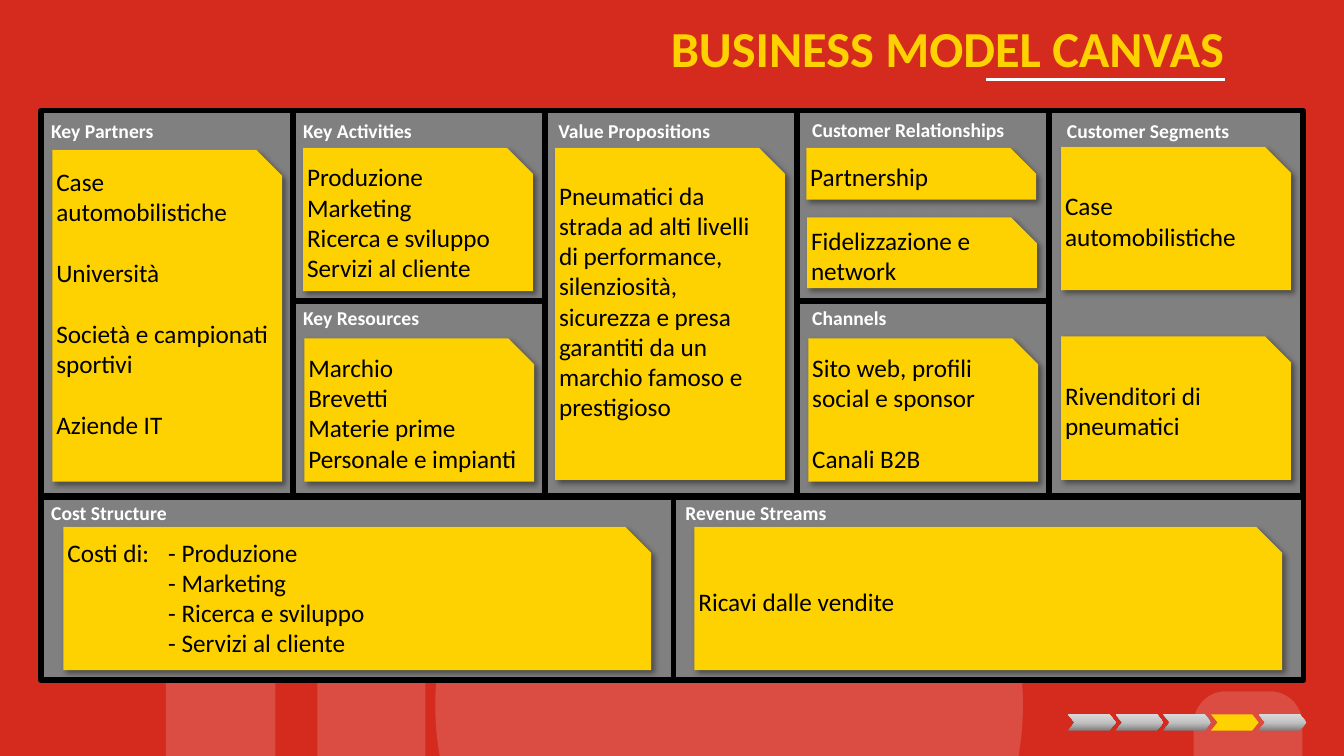
import copy
from dataclasses import dataclass

import lxml.etree
import pptx
import pptx.dml.color
import pptx.enum.shapes
import pptx.enum.text
import pptx.oxml.ns
import pptx.util

Cm = pptx.util.Cm
Pt = pptx.util.Pt
qn = pptx.oxml.ns.qn
SHAPE = pptx.enum.shapes.MSO_SHAPE
ALIGN = pptx.enum.text.PP_ALIGN
MIDDLE = pptx.enum.text.MSO_ANCHOR.MIDDLE


@dataclass(frozen=True)
class Theme:
    font: str = "Calibri"
    red: str = "D52B1E"
    yellow: str = "FED100"
    grey: str = "808080"
    white: str = "FFFFFF"
    black: str = "000000"
    silver: tuple = ((0, "808080"), (0.48, "C1C1C1"), (1, "D9D9D9"))
    title: int = 36
    heading: int = 14
    body: int = 18


@dataclass(frozen=True)
class Note:
    box: tuple
    lines: tuple
    gap: int = 0
    bottom: float = 0.2
    hanging: float = 0


THEME = Theme()
BLANK_LINE = 22
NOTE_W, NOTE_H, TALL_H = 5.79, 3.61, 8.36
WIDE_W = 14.81
LEFT, TOP, MIDDLE_TOP, BASE_TOP = 1.04, 2.79, 7.59, 12.52
COLUMN = 6.35
FULL, UPPER, LOWER, BASE = 9.7, 4.8, 4.91, 4.62
REVENUE_LEFT = 16.97


def column(index):
    return LEFT + COLUMN * index


BLOCKS = (
    ("Key Partners", (column(0), TOP, COLUMN, FULL), (0, 0.08), (
        Note((0.28, 0.99, NOTE_W, TALL_H),
             ("Case automobilistiche", "Università", "Società e campionati sportivi", "Aziende IT"),
             gap=BLANK_LINE, bottom=0.98),)),
    ("Key Activities", (column(1), TOP, COLUMN, UPPER), (0, 0.08), (
        Note((0.25, 0.94, NOTE_W, NOTE_H),
             ("Produzione", "Marketing", "Ricerca e sviluppo", "Servizi al cliente")),)),
    ("Key Resources", (column(1), MIDDLE_TOP, COLUMN, LOWER), (0, 0), (
        Note((0.28, 0.94, NOTE_W, NOTE_H),
             ("Marchio", "Brevetti", "Materie prime", "Personale e impianti")),)),
    ("Value Propositions", (column(2), TOP, COLUMN, FULL), (0.08, 0.08), (
        Note((0.25, 0.94, NOTE_W, TALL_H),
             ("Pneumatici da strada ad alti livelli di performance, silenziosità, "
              "sicurezza e presa garantiti da un marchio famoso e prestigioso",),
             bottom=0.98),)),
    ("Customer Relationships", (column(3), TOP, COLUMN, UPPER), (0.13, 0.05), (
        Note((0.23, 0.94, NOTE_W, 1.3), ("Partnership",)),
        Note((0.25, 2.69, NOTE_W, 1.78), ("Fidelizzazione e network",)))),
    ("Channels", (column(3), MIDDLE_TOP, COLUMN, LOWER), (0.13, 0), (
        Note((0.28, 0.94, NOTE_W, NOTE_H),
             ("Sito web, profili social e sponsor", "Canali B2B"), gap=BLANK_LINE),)),
    ("Customer Segments", (column(4), TOP, 6.4, FULL), (0.2, 0.08), (
        Note((0.3, 0.91, NOTE_W, NOTE_H), ("Case automobilistiche",)),
        Note((0.3, 5.69, NOTE_W, NOTE_H), ("Rivenditori di pneumatici",)))),
    ("Cost Structure", (LEFT, BASE_TOP, 15.93, BASE), (0, -0.03), (
        Note((0.56, 0.76, WIDE_W, NOTE_H),
             ("Costi di:\t- Produzione", "- Marketing", "- Ricerca e sviluppo",
              "- Servizi al cliente"), bottom=0.38, hanging=2.54),)),
    ("Revenue Streams", (REVENUE_LEFT, BASE_TOP, 15.88, BASE), (0.05, -0.03), (
        Note((0.53, 0.76, WIDE_W, NOTE_H), ("Ricavi dalle vendite",)),)),
)


def rgb(value):
    return pptx.dml.color.RGBColor.from_string(value)


def style(paragraph, size, color, bold=False):
    font = paragraph.font
    font.name, font.size, font.bold = THEME.font, Pt(size), bold
    font.color.rgb = rgb(color)


def set_insets(frame, left, top, right, bottom):
    frame.margin_left, frame.margin_top = Cm(left), Cm(top)
    frame.margin_right, frame.margin_bottom = Cm(right), Cm(bottom)


def add_filled(slide, kind, box, color):
    shape = slide.shapes.add_shape(kind, *map(Cm, box))
    shape.shadow.inherit = False
    shape.fill.solid()
    shape.fill.fore_color.rgb = rgb(color)
    shape.line.fill.background()
    return shape


def add_backdrop(slide):
    slide.background.fill.solid()
    slide.background.fill.fore_color.rgb = rgb(THEME.red)
    for kind, box in (
        (SHAPE.RECTANGLE, (4.18, 16.8, 2.76, 2.25)),
        (SHAPE.RECTANGLE, (8, 16.8, 2.72, 2.25)),
        (SHAPE.OVAL, (10.97, 10.36, 14.81, 14.81)),
        (SHAPE.ROUND_2_SAME_RECTANGLE, (30.08, 17.42, 2.74, 1.63)),
    ):
        curve = add_filled(slide, kind, box, THEME.white)
        if kind == SHAPE.ROUND_2_SAME_RECTANGLE:
            curve.adjustments[0] = 0.5
        tint = curve._element.spPr.find(".//" + qn("a:srgbClr"))
        lxml.etree.SubElement(tint, qn("a:alpha"), val="16000")


def add_title(slide, box):
    left, top, width, height = box
    title = slide.shapes.title
    title.left, title.top, title.width, title.height = map(Cm, box)
    frame = title.text_frame
    frame.text = "BUSINESS MODEL CANVAS"
    frame.auto_size = pptx.enum.text.MSO_AUTO_SIZE.NONE
    frame.vertical_anchor = MIDDLE
    set_insets(frame, 3, 0.13, 3, 0.13)
    heading = frame.paragraphs[0]
    heading.alignment = ALIGN.RIGHT
    heading.line_spacing = 0.9
    style(heading, THEME.title, THEME.yellow, True)
    rule_end, rule_y = left + width - 3, top + 2
    rule = slide.shapes.add_connector(
        pptx.enum.shapes.MSO_CONNECTOR.STRAIGHT,
        Cm(rule_end - 6), Cm(rule_y), Cm(rule_end), Cm(rule_y))
    rule.line.color.rgb = rgb(THEME.white)
    rule.line.width = Pt(2)
    lxml.etree.SubElement(rule._element.spPr, qn("a:effectLst"))


def add_note(slide, block_box, note):
    dx, dy, width, height = note.box
    box = (block_box[0] + dx, block_box[1] + dy, width, height)
    card = add_filled(slide, SHAPE.SNIP_1_RECTANGLE, box, THEME.yellow)
    card.adjustments[0] = min(0.5, 0.65 / min(width, height))
    effects = card._element.spPr.find(qn("a:effectLst"))
    shadow = lxml.etree.SubElement(
        effects, qn("a:outerShdw"), blurRad=str(Pt(4)), dist=str(Pt(3)),
        dir="2700000", algn="tl", rotWithShape="0")
    shade = lxml.etree.SubElement(shadow, qn("a:srgbClr"), val=THEME.black)
    lxml.etree.SubElement(shade, qn("a:alpha"), val="40000")
    frame = card.text_frame
    frame.text = "\n".join(note.lines)
    frame.word_wrap = True
    frame.vertical_anchor = MIDDLE
    set_insets(frame, 0.1, 0, 0, note.bottom)
    for index, line in enumerate(frame.paragraphs):
        line.alignment = ALIGN.LEFT
        if index and note.gap:
            line.space_before = Pt(note.gap)
        if note.hanging:
            properties = line._p.get_or_add_pPr()
            properties.set("marL", str(Cm(note.hanging)))
            properties.set("indent", "0" if index else str(-Cm(note.hanging)))
        style(line, THEME.body, THEME.black)


def add_block(slide, box, heading, offset, notes):
    panel = add_filled(slide, SHAPE.RECTANGLE, box, THEME.grey)
    panel.line.color.rgb = rgb(THEME.black)
    panel.line.width = Pt(4)
    label = slide.shapes.add_textbox(
        Cm(box[0] + offset[0]), Cm(box[1] + offset[1]), Cm(5.92), Cm(0.86))
    label.text_frame.text = heading
    label.text_frame.word_wrap = True
    style(label.text_frame.paragraphs[0], THEME.heading, THEME.white, True)
    for note in notes:
        add_note(slide, box, note)


def add_progress(slide, box, steps, current):
    left, top, width, height = box
    pitch = width / steps
    for step in range(steps):
        chevron = add_filled(
            slide, SHAPE.CHEVRON, (left + pitch * step, top, pitch, height), THEME.yellow)
        chevron.adjustments[0] = 0.4
        if step == current:
            continue
        chevron.fill.gradient()
        chevron.fill.gradient_angle = 90
        stops = chevron._element.spPr.find(".//" + qn("a:gsLst"))
        stops.append(copy.deepcopy(stops[0]))
        for stop, (position, color) in zip(chevron.fill.gradient_stops, THEME.silver):
            stop.position = position
            stop.color.rgb = rgb(color)


def main():
    deck = pptx.Presentation()
    deck.slide_width, deck.slide_height = Cm(33.87), Cm(19.05)
    slide = deck.slides.add_slide(deck.slide_layouts[5])
    add_backdrop(slide)
    add_title(slide, (12.45, 0, 21.41, 2.57))
    for heading, box, offset, notes in BLOCKS:
        add_block(slide, box, heading, offset, notes)
    add_progress(slide, (26.92, 18, 6, 0.41), steps=5, current=3)
    deck.save("out.pptx")


if __name__ == "__main__":
    main()
